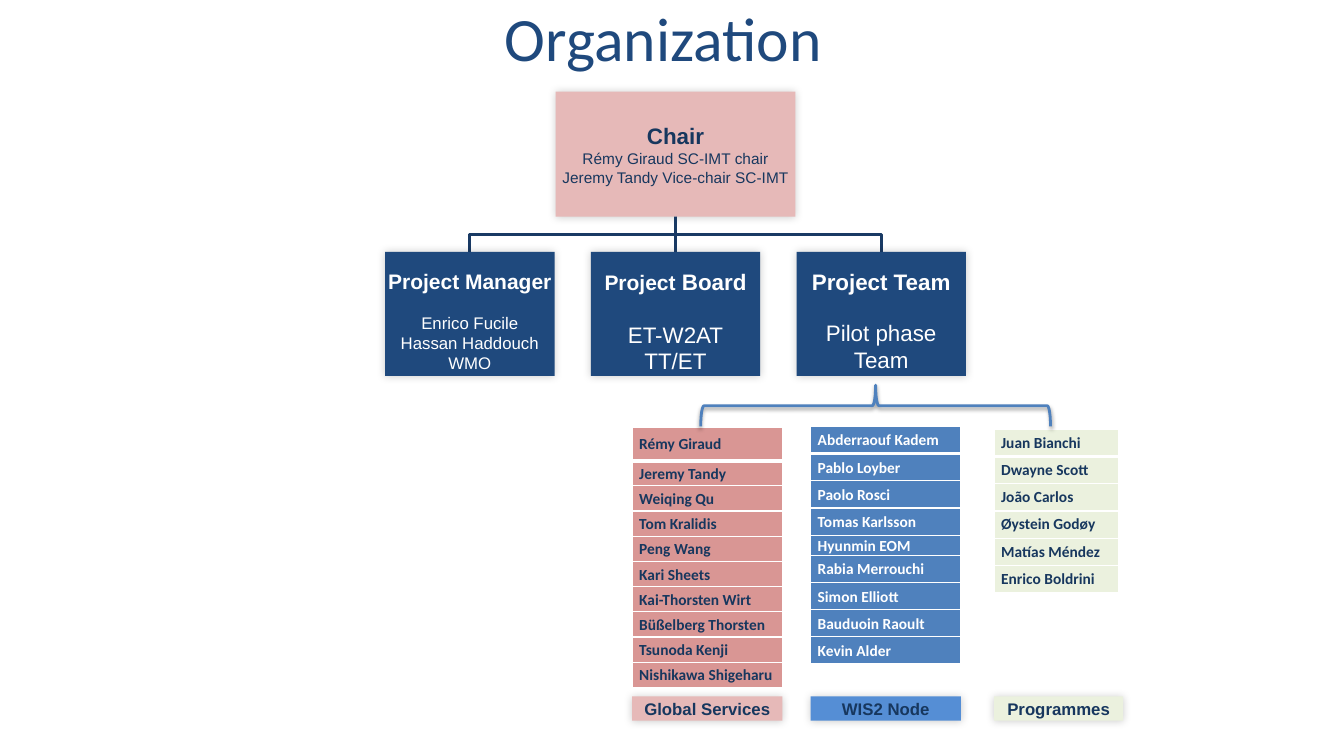
from dataclasses import dataclass

from lxml import etree
from pptx import Presentation
from pptx.dml.color import RGBColor
from pptx.enum.shapes import MSO_CONNECTOR, MSO_SHAPE
from pptx.enum.text import MSO_ANCHOR, PP_ALIGN
from pptx.oxml.ns import qn
from pptx.util import Inches, Pt

CENTER, LEFT = PP_ALIGN.CENTER, PP_ALIGN.LEFT
MIDDLE, TOP = MSO_ANCHOR.MIDDLE, MSO_ANCHOR.TOP
RECTANGLE, BRACE = MSO_SHAPE.RECTANGLE, MSO_SHAPE.RIGHT_BRACE
STRAIGHT = MSO_CONNECTOR.STRAIGHT
BOTTOM_SITE, TOP_SITE = 2, 0


@dataclass(frozen=True)
class Theme:
    heading_font: str = "Calibri"
    body_font: str = "Arial"
    navy: str = "1F497D"
    ink: str = "17375E"
    link: str = "193A64"
    white: str = "FFFFFF"
    pink: str = "E6B9B8"
    rose: str = "D99694"
    blue: str = "4F81BD"
    sky: str = "558ED5"
    green: str = "EBF1DE"
    title_size: int = 44
    head_size: int = 16
    subhead_size: int = 15
    label_size: int = 12
    name_size: int = 11


THEME = Theme()


@dataclass(frozen=True)
class Shadow:
    opacity: int
    blur: float
    distance: float
    angle: int


@dataclass(frozen=True)
class Run:
    text: str
    size: int
    bold: bool = False


@dataclass(frozen=True)
class Line:
    runs: tuple[Run, ...]
    space_before: float = 0


@dataclass(frozen=True)
class Box:
    left: float
    top: float
    width: float
    height: float
    fill: str
    color: str
    lines: tuple[Line, ...]
    anchor: MSO_ANCHOR = MIDDLE
    top_inset: float = 0.01


@dataclass(frozen=True)
class Team:
    label: str
    left: float
    top: float
    width: float
    label_width: float
    fill: str
    label_fill: str
    color: str
    line_spacing: float
    row_heights: tuple[float, ...]
    names: tuple[str, ...]


BOX_SHADOW = Shadow(20, 6, 0, 225)
BRACE_SHADOW = Shadow(38, 3.1, 1.6, 90)


def line(text: str, size: int, bold: bool = False, space_before: float = 0) -> Line:
    return Line((Run(text, size, bold),), space_before)


CHAIR = Box(5.51, 0.91, 2.38, 1.24, THEME.pink, THEME.ink, (
    line("Chair", THEME.head_size, True),
    line("Rémy Giraud SC-IMT chair", THEME.name_size),
    line("Jeremy Tandy Vice-chair SC-IMT", THEME.name_size),
))
MANAGER_LINES = (
    line("Project Manager", THEME.subhead_size, True),
    line("Enrico Fucile", THEME.label_size, space_before=13.8),
    line("Hassan Haddouch", THEME.label_size),
    line("WMO", THEME.label_size),
)
BOARD_LINES = (
    Line((Run("Project", THEME.subhead_size, True), Run(" Board", THEME.head_size, True))),
    line("ET-W2AT", THEME.head_size, space_before=18.4),
    line("TT/ET", THEME.head_size),
)
TEAM_LINES = (
    line("Project Team", THEME.head_size, True),
    line("Pilot phase Team", THEME.head_size, space_before=17.3),
)
PROJECT_BOXES = [
    Box(3.82 + 2.04 * index, 2.5, 1.68, 1.23, THEME.navy, THEME.white, lines, TOP, 0.16)
    for index, lines in enumerate((MANAGER_LINES, BOARD_LINES, TEAM_LINES))
]
TEAMS = (
    Team("Global Services", 6.27, 4.24, 1.49, 1.49, THEME.rose, THEME.pink, THEME.ink, 1.07,
         (0.33,) + (0.25,) * 9,
         ("Rémy Giraud", "Jeremy Tandy", "Weiqing Qu", "Tom Kralidis", "Peng Wang", "Kari Sheets",
          "Kai-Thorsten Wirt", "Büßelberg Thorsten", "Tsunoda Kenji", "Nishikawa Shigeharu")),
    Team("WIS2 Node", 8.04, 4.23, 1.49, 1.49, THEME.blue, THEME.sky, THEME.white, 1.07,
         (0.27,) * 4 + (0.2,) + (0.27,) * 4,
         ("Abderraouf Kadem", "Pablo Loyber", "Paolo Rosci", "Tomas Karlsson", "Hyunmin EOM",
          "Rabia Merrouchi", "Simon Elliott", "Bauduoin Raoult", "Kevin Alder")),
    Team("Programmes", 9.86, 4.26, 1.23, 1.28, THEME.green, THEME.green, THEME.ink, 1.0,
         (0.27,) * 6,
         ("Juan Bianchi", "Dwayne Scott", "João Carlos", "Øystein Godøy", "Matías Méndez",
          "Enrico Boldrini")),
)


def write_text(paragraph, text: str, *, size: int, color: str, font: str = THEME.body_font,
               bold: bool = False, align: PP_ALIGN = CENTER, line_spacing: float = 1.0) -> None:
    paragraph.alignment = align
    paragraph.line_spacing = line_spacing
    run = paragraph.add_run()
    run.text = text
    run.font.name = font
    run.font.size = Pt(size)
    run.font.bold = bold
    run.font.color.rgb = RGBColor.from_string(color)


def add_shadow(shape, shadow: Shadow) -> None:
    shape.shadow.inherit = False
    effects = shape._element.spPr.find(qn("a:effectLst"))
    outer = etree.SubElement(effects, qn("a:outerShdw"), blurRad=str(Pt(shadow.blur)),
                             dist=str(Pt(shadow.distance)), dir=str(shadow.angle * 60000),
                             rotWithShape="0")
    black = etree.SubElement(outer, qn("a:srgbClr"), val="000000")
    etree.SubElement(black, qn("a:alpha"), val=str(shadow.opacity * 1000))


def add_box(slide, box: Box):
    shape = slide.shapes.add_shape(RECTANGLE, Inches(box.left), Inches(box.top),
                                   Inches(box.width), Inches(box.height))
    shape.fill.solid()
    shape.fill.fore_color.rgb = RGBColor.from_string(box.fill)
    shape.line.fill.background()
    add_shadow(shape, BOX_SHADOW)
    frame = shape.text_frame
    frame.word_wrap = True
    frame.vertical_anchor = box.anchor
    frame.margin_left = frame.margin_right = frame.margin_bottom = Inches(0.01)
    frame.margin_top = Inches(box.top_inset)
    for index, item in enumerate(box.lines):
        paragraph = frame.add_paragraph() if index else frame.paragraphs[0]
        paragraph.space_before = Pt(item.space_before)
        for run in item.runs:
            write_text(paragraph, run.text, size=run.size, bold=run.bold, color=box.color)
    return shape


def style_line(shape, color: str) -> None:
    shape.line.color.rgb = RGBColor.from_string(color)
    shape.line.width = Pt(2)


def add_elbow(slide, upper: Box, lower: Box) -> None:
    """Draw a bent line from the bottom of one box to the top of another."""
    start_x, end_x = (box.left + box.width / 2 for box in (upper, lower))
    start_y = upper.top + upper.height
    middle_y = (start_y + lower.top) / 2
    builder = slide.shapes.build_freeform(Inches(start_x), Inches(start_y))
    corners = ((start_x, middle_y), (end_x, middle_y), (end_x, lower.top))
    builder.add_line_segments([(Inches(x), Inches(y)) for x, y in corners], close=False)
    elbow = builder.convert_to_shape()
    elbow.fill.background()
    elbow.shadow.inherit = False
    style_line(elbow, THEME.link)


def add_straight_link(slide, upper, lower) -> None:
    connector = slide.shapes.add_connector(STRAIGHT, 0, 0, 0, 0)
    connector.begin_connect(upper, BOTTOM_SITE)
    connector.end_connect(lower, TOP_SITE)
    style_line(connector, THEME.link)
    etree.SubElement(connector._element.spPr, qn("a:effectLst"))


def set_borders(cell, **widths: float) -> None:
    """Put white borders, given in points by side letter, ahead of the cell fill."""
    properties = cell._tc.get_or_add_tcPr()
    for index, (side, width) in enumerate(widths.items()):
        border = etree.Element(qn(f"a:ln{side}"), w=str(Pt(width)))
        fill = etree.SubElement(border, qn("a:solidFill"))
        etree.SubElement(fill, qn("a:srgbClr"), val=THEME.white)
        properties.insert(index, border)


def add_team(slide, team: Team) -> None:
    table = slide.shapes.add_table(len(team.names), 1, Inches(team.left), Inches(team.top),
                                   Inches(team.width), Inches(sum(team.row_heights))).table
    table.horz_banding = False
    for index, (name, height) in enumerate(zip(team.names, team.row_heights)):
        table.rows[index].height = Inches(height)
        cell = table.cell(index, 0)
        cell.fill.solid()
        cell.fill.fore_color.rgb = RGBColor.from_string(team.fill)
        cell.margin_left = cell.margin_right = Inches(0.07)
        cell.margin_top = cell.margin_bottom = 0
        cell.vertical_anchor = MIDDLE
        set_borders(cell, L=1, R=1, T=3 if index == 1 else 1, B=3 if index == 0 else 1)
        write_text(cell.text_frame.paragraphs[0], name, size=THEME.name_size, color=team.color,
                   font=THEME.heading_font, bold=True, align=LEFT, line_spacing=team.line_spacing)
    add_box(slide, Box(team.left, 6.91, team.label_width, 0.24, team.label_fill, THEME.ink,
                       (line(team.label, THEME.label_size, True),)))


def add_title(slide, text: str) -> None:
    frame = slide.shapes.add_textbox(Inches(2.08), Inches(-0.12), Inches(9), Inches(0.97)).text_frame
    frame.word_wrap = True
    frame.vertical_anchor = MIDDLE
    write_text(frame.paragraphs[0], text, size=THEME.title_size, color=THEME.navy,
               font=THEME.heading_font)


def add_brace(slide) -> None:
    brace = slide.shapes.add_shape(BRACE, Inches(8.48), Inches(2.29), Inches(0.41), Inches(3.47))
    brace.rotation = 270
    brace.adjustments[0], brace.adjustments[1] = 0.08, 0.5
    brace.fill.background()
    style_line(brace, THEME.blue)
    add_shadow(brace, BRACE_SHADOW)


def main() -> None:
    presentation = Presentation()
    presentation.slide_width, presentation.slide_height = Inches(13.33), Inches(7.5)
    slide = presentation.slides.add_slide(presentation.slide_layouts[6])
    add_title(slide, "Organization")
    manager, board, project_team = PROJECT_BOXES
    for box in (manager, project_team):
        add_elbow(slide, CHAIR, box)
        add_box(slide, box)
    add_straight_link(slide, add_box(slide, CHAIR), add_box(slide, board))
    for team in TEAMS:
        add_team(slide, team)
    add_brace(slide)
    presentation.save("out.pptx")


if __name__ == "__main__":
    main()
